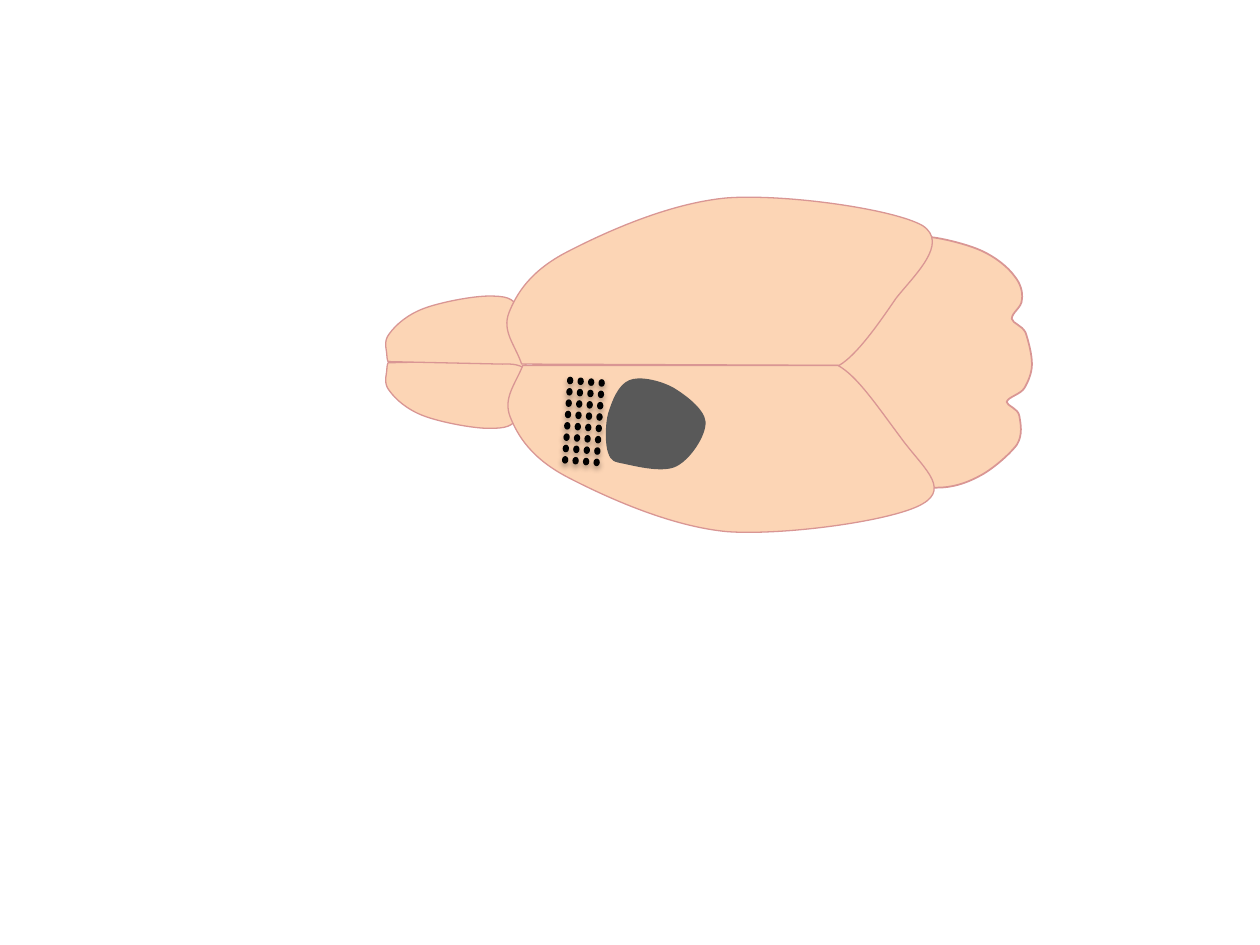
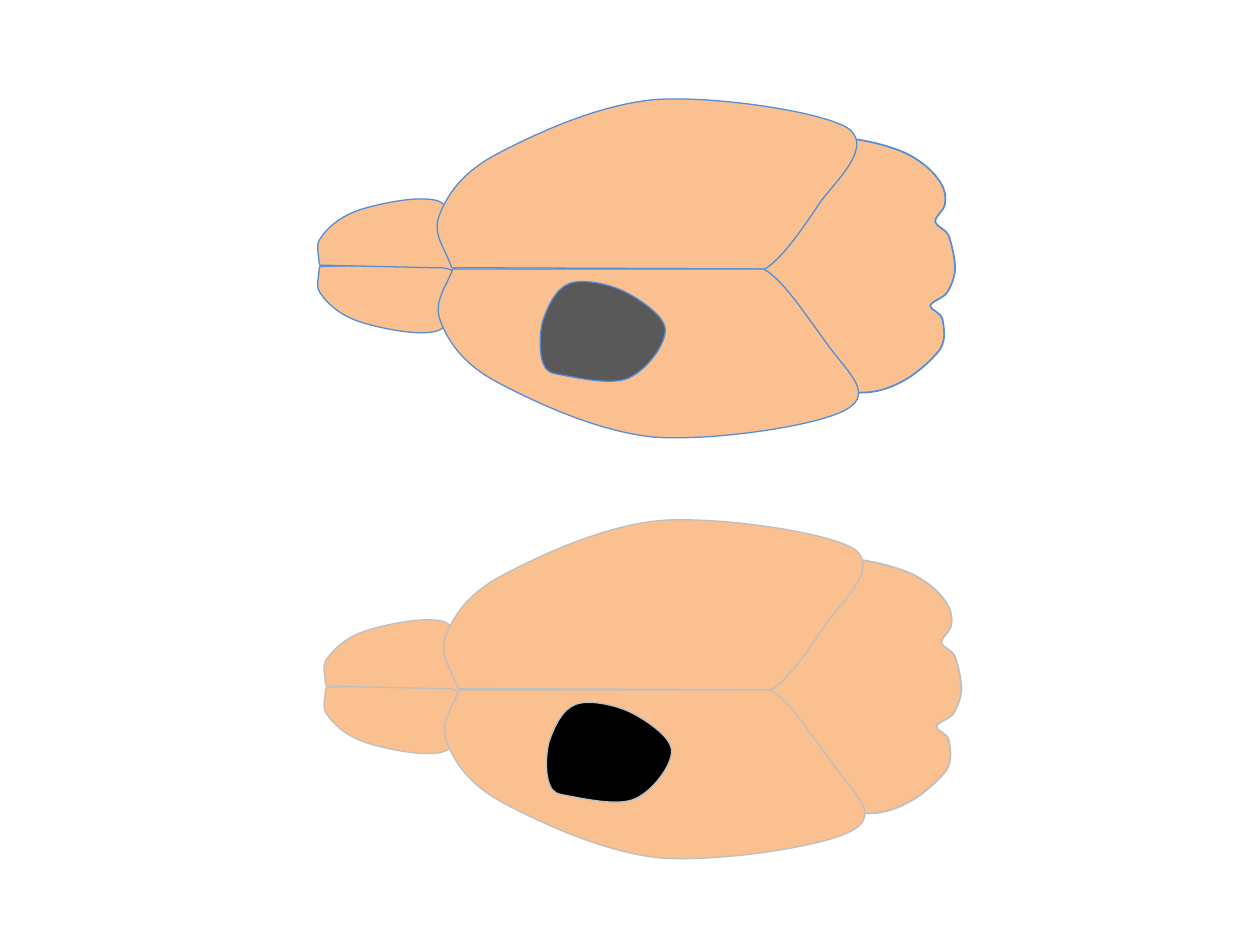
from dataclasses import dataclass
from itertools import product
from typing import NamedTuple

from lxml.etree import SubElement
from pptx import Presentation
from pptx.dml.color import RGBColor as Color
from pptx.enum.shapes import MSO_SHAPE as Preset
from pptx.oxml.ns import qn
from pptx.util import Pt

EMU_PER_PX = 9144
BLANK_LAYOUT = 6


class Box(NamedTuple):
    left: int
    top: int
    width: int
    height: int


@dataclass(frozen=True)
class Theme:
    pale_tissue: str = "FCD5B5"
    warm_tissue: str = "FAC090"
    rose: str = "D99694"
    blue: str = "558ED5"
    silver: str = "BFBFBF"
    charcoal: str = "595959"
    black: str = "000000"
    fine_line: float = 0.75
    bold_line: float = 1
    shadow_alpha: int = 35000
    shadow_blur: int = 40000
    shadow_distance: int = 23000


THEME = Theme()
BRAIN_SIZE = (513, 265)
WINDOW_SIZE = (99, 79)
BULB_MIRROR = 261

CEREBELLUM = [
    (403, 37),
    (411, 34, 419, 30, 431, 31),
    (442, 32, 462, 37, 473, 42),
    (484, 47, 494, 55, 499, 62),
    (504, 68, 506, 75, 505, 81),
    (505, 87, 497, 91, 497, 96),
    (498, 100, 505, 101, 508, 107),
    (510, 113, 513, 124, 513, 132),
    (513, 139, 510, 146, 507, 151),
    (504, 156, 494, 158, 493, 162),
    (493, 165, 502, 167, 503, 173),
    (504, 179, 506, 188, 501, 196),
    (495, 204, 481, 216, 471, 221),
    (460, 227, 449, 230, 438, 230),
    (427, 231, 411, 228, 405, 226),
    (398, 225, 408, 230, 398, 223),
    (387, 216, 364, 205, 342, 183),
    (319, 162, 262, 114, 261, 94),
    (261, 74, 315, 73, 339, 64),
    (364, 54, 395, 40, 408, 35),
]
LOWER_BULB = [
    (111, 129),
    (113, 137, 110, 164, 106, 173),
    (101, 182, 95, 183, 82, 183),
    (69, 183, 43, 178, 30, 173),
    (17, 168, 8, 160, 3, 153),
    (-2, 147, 1, 140, 1, 137),
    (1, 133, 2, 131, 2, 131),
    (93, 129),
    (112, 130, 109, 122, 111, 129),
]
UPPER_BULB = [
    tuple(BULB_MIRROR - value if index % 2 else value
          for index, value in enumerate(segment))
    for segment in LOWER_BULB
]
UPPER_HEMISPHERE = [
    (108, 132),
    (103, 117, 92, 106, 98, 91),
    (104, 76, 115, 58, 144, 43),
    (173, 28, 225, 4, 272, 0),
    (319, -3, 403, 9, 426, 22),
    (448, 36, 419, 62, 405, 80),
    (392, 99, 374, 125, 360, 133),
]
LOWER_HEMISPHERE = [
    (109, 133),
    (103, 148, 93, 159, 99, 174),
    (105, 189, 116, 207, 145, 222),
    (174, 237, 226, 261, 272, 265),
    (319, 268, 404, 256, 426, 243),
    (449, 230, 425, 213, 408, 189),
    (390, 165, 374, 141, 359, 133),
]
CRANIAL_WINDOW = [
    (23, 2),
    (33, -2, 53, 2, 66, 8),
    (78, 14, 98, 27, 99, 38),
    (100, 50, 84, 71, 70, 77),
    (57, 83, 30, 77, 19, 75),
    (8, 73, 5, 73, 2, 65),
    (-1, 58, -1, 41, 2, 31),
    (6, 20, 12, 6, 23, 2),
]
CLOSED_LOBES = [LOWER_BULB, UPPER_BULB, UPPER_HEMISPHERE, LOWER_HEMISPHERE]


def px(length):
    return round(length * EMU_PER_PX)


def set_format(target, values):
    for name, value in values.items():
        setattr(target, name, value)


def paint(shape, fill, line=None, weight=THEME.fine_line):
    shape.shadow.inherit = False
    shape.fill.solid()
    shape.fill.fore_color.rgb = Color.from_string(fill)
    if line:
        shape.line.color.rgb = Color.from_string(line)
        shape.line.width = Pt(weight)
    else:
        shape.line.fill.background()


def bend_segments(shape, segments):
    left, top = shape.left, shape.top
    edges = list(shape._element.spPr.iter(qn("a:lnTo")))
    for edge, points in zip(edges, segments):
        if len(points) == 1:
            continue
        curve = edge.makeelement(qn("a:cubicBezTo"))
        for x, y in points:
            SubElement(curve, qn("a:pt"), x=str(x - left), y=str(y - top))
        edge.getparent().replace(edge, curve)


def add_outline(shapes, box, size, outline, close=True):
    segments = [
        [(px(box.left + x * box.width / size[0]),
          px(box.top + y * box.height / size[1]))
         for x, y in zip(segment[::2], segment[1::2])]
        for segment in outline
    ]
    anchors = [points[-1] for points in segments]
    builder = shapes.build_freeform(*anchors[0], scale=1.0)
    builder.add_line_segments(anchors[1:], close=close)
    shape = builder.convert_to_shape()
    bend_segments(shape, segments[1:])
    return shape


def add_brain(page, box, fill, line):
    group = page.shapes.add_group_shape()
    cerebellum = add_outline(group.shapes, box, BRAIN_SIZE, CEREBELLUM, close=False)
    paint(cerebellum, fill, line, THEME.bold_line)
    for outline in CLOSED_LOBES:
        paint(add_outline(group.shapes, box, BRAIN_SIZE, outline), fill, line)
    return group


def add_window(shapes, box, fill, line=None):
    paint(add_outline(shapes, box, WINDOW_SIZE, CRANIAL_WINDOW), fill, line)


def add_soft_shadow(shape):
    effects = shape._element.spPr.find(qn("a:effectLst"))
    shadow = SubElement(effects, qn("a:outerShdw"), {
        "blurRad": str(THEME.shadow_blur),
        "dist": str(THEME.shadow_distance),
        "dir": "5400000",
        "rotWithShape": "0",
    })
    color = SubElement(shadow, qn("a:srgbClr"), val=THEME.black)
    SubElement(color, qn("a:alpha"), val=str(THEME.shadow_alpha))


def add_electrodes(page, box, columns=4, rows=8):
    dot_width, dot_height, lean, drop = 5, 6, 4, 2
    column_gap = (box.width - dot_width - lean) / (columns - 1)
    row_gap = (box.height - dot_height - drop) / (rows - 1)
    group = page.shapes.add_group_shape()
    for column, row in product(range(columns), range(rows)):
        left = box.left + column * column_gap + lean * (1 - row / (rows - 1))
        top = box.top + row * row_gap + drop * column / (columns - 1)
        dot = group.shapes.add_shape(
            Preset.OVAL, px(left), px(top), px(dot_width), px(dot_height))
        dot.rotation = 3.8
        paint(dot, THEME.black)
        add_soft_shadow(dot)


def build_electrode_slide(page):
    add_brain(page, Box(306, 157, 513, 265), THEME.pale_tissue, THEME.rose)
    add_window(page.shapes, Box(481, 300, 79, 72), THEME.charcoal)
    add_electrodes(page, Box(446, 299, 34, 71))


def build_comparison_slide(page):
    variants = [
        (Box(252, 79, 506, 268), THEME.blue, THEME.charcoal),
        (Box(257, 413, 506, 268), THEME.silver, THEME.black),
    ]
    for box, line, window_fill in variants:
        brain = add_brain(page, box, THEME.warm_tissue, line)
        window = Box(box.left + 177, box.top + 144, 99, 79)
        add_window(brain.shapes, window, window_fill, line)


def main():
    deck = Presentation()
    set_format(deck, {"slide_width": px(1000), "slide_height": px(750)})
    for build in (build_electrode_slide, build_comparison_slide):
        build(deck.slides.add_slide(deck.slide_layouts[BLANK_LAYOUT]))
    deck.save("out.pptx")


if __name__ == "__main__":
    main()
